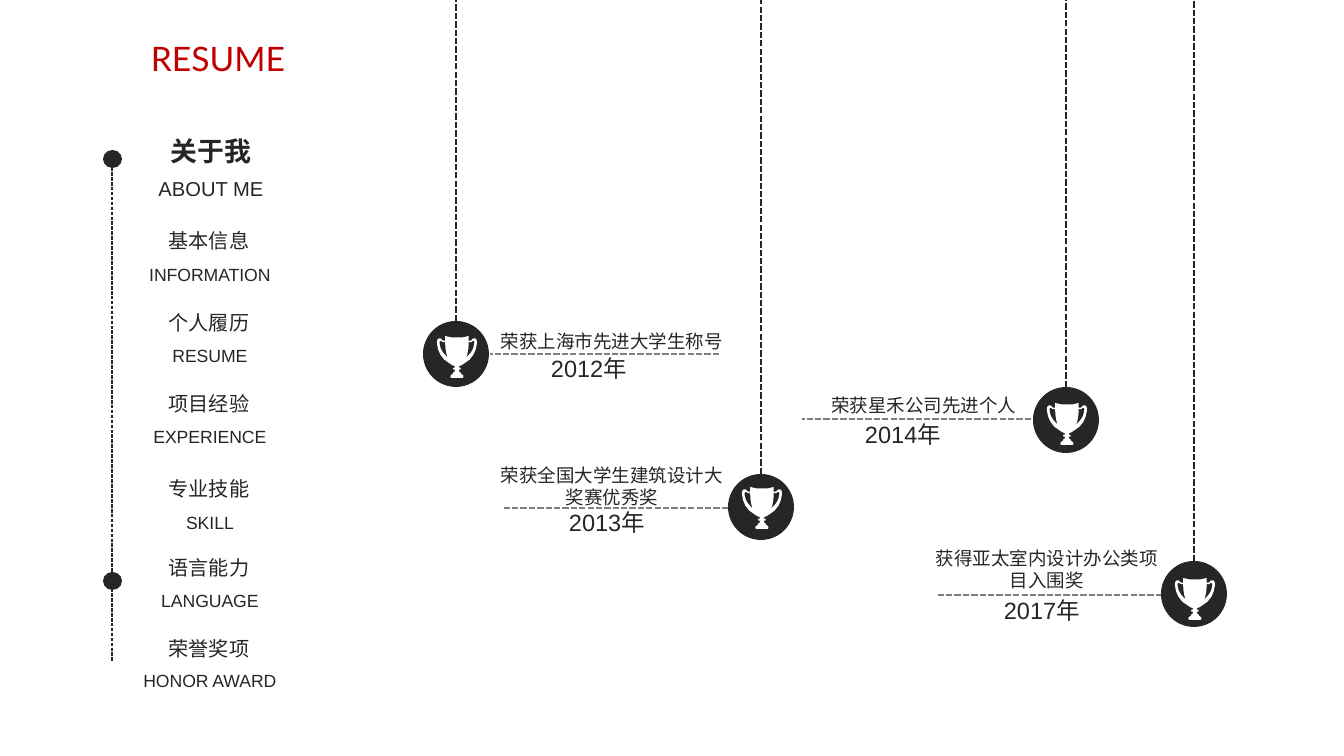
from pptx import Presentation
from pptx.dml.color import RGBColor
from pptx.enum.dml import MSO_LINE
from pptx.enum.shapes import MSO_CONNECTOR, MSO_SHAPE
from pptx.enum.text import MSO_ANCHOR, PP_ALIGN
from pptx.oxml.ns import qn
from pptx.util import Pt
from lxml.etree import SubElement

PX = 7557  # EMU in one px
INK = RGBColor(0x26, 0x26, 0x26)
GRAY = RGBColor(0x80, 0x80, 0x80)
RED = RGBColor(0xC0, 0x00, 0x00)
WHITE = RGBColor(0xFF, 0xFF, 0xFF)
LATIN, CJK, TITLE = "Arial", "Noto Sans CJK SC", "Lato"

# Right half of the trophy, in tenths of a px from its top centre
CUP = [(0, 15), (60, 14), (118, 0), (118, 48), (145, 45), (155, 30), (165, 24),
       (182, 24), (196, 38), (200, 60), (199, 80), (188, 135), (165, 188),
       (125, 238), (65, 280), (45, 293), (20, 302), (20, 315), (35, 318),
       (38, 327), (35, 336), (20, 338), (20, 350), (26, 360), (36, 365),
       (40, 378), (55, 387), (65, 400), (65, 412), (55, 420)]
HANDLE = [(118, 62), (145, 62), (158, 48), (170, 50), (174, 62), (172, 85),
          (162, 125), (140, 165), (92, 218), (105, 180), (115, 120)]

MENU = [("基本信息", "INFORMATION", 241), ("个人履历", "RESUME", 323),
        ("项目经验", "EXPERIENCE", 403), ("专业技能", "SKILL", 489),
        ("语言能力", "LANGUAGE", 568), ("荣誉奖项", "HONOR AWARD", 648)]

# title, its centre; year, its centre; rule right, left, y; medal left, top; trophy top
AWARDS = [
    ("荣获上海市先进大学生称号", (612, 341), "2012年", (589, 368),
     (719, 490, 354), (423, 321), 336),
    ("荣获全国大学生建筑设计大奖赛优秀奖", (612, 486), "2013年", (607, 522),
     (728, 503, 508), (728, 474), 487),
    ("荣获星禾公司先进个人", (924, 405), "2014年", (903, 434),
     (1031, 802, 419), (1033, 387), 403),
    ("获得亚太室内设计办公类项目入围奖", (1047, 569), "2017年", (1042, 610),
     (1162, 938, 595), (1161, 561), 578),
]


def mirror(points):
    return [(-x, y) for x, y in reversed(points)]


class Deck:
    def __init__(self, width, height):
        self.prs = Presentation()
        self.prs.slide_width, self.prs.slide_height = width * PX, height * PX
        self.slide = self.prs.slides.add_slide(self.prs.slide_layouts[6])
        self.shapes = self.slide.shapes

    def paint(self, sp, color):
        sp.shadow.inherit = False
        sp.fill.solid()
        sp.fill.fore_color.rgb = color
        sp.line.fill.background()
        return sp

    def text(self, text, center, size, w=246, h=40, color=INK, bold=False,
             font=LATIN, spacing=None):
        """Place centred text around a middle point."""
        cx, cy = center
        box = self.shapes.add_textbox((cx - w // 2) * PX, (cy - h // 2) * PX,
                                      w * PX, h * PX)
        tf = box.text_frame
        tf.word_wrap = True
        tf.vertical_anchor = MSO_ANCHOR.MIDDLE
        p = tf.paragraphs[0]
        p.alignment = PP_ALIGN.CENTER
        if spacing:
            p.line_spacing = Pt(spacing)
        r = p.add_run()
        r.text = text
        f = r.font
        f.name, f.size, f.bold, f.color.rgb = font, Pt(size), bold, color
        SubElement(f._element, qn("a:ea")).set("typeface", CJK)

    def dot(self, x, y, w, h):
        sp = self.shapes.add_shape(MSO_SHAPE.OVAL, x * PX, y * PX, w * PX, h * PX)
        return self.paint(sp, INK)

    def dashes(self, x1, y1, x2, y2, color=INK, width=1.25, start=None):
        """Draw a dashed line, joined to the top of start if given."""
        ln = self.shapes.add_connector(MSO_CONNECTOR.STRAIGHT, x1 * PX, y1 * PX,
                                       x2 * PX, y2 * PX)
        ln.line.color.rgb = color
        ln.line.width = Pt(width)
        ln.line.dash_style = MSO_LINE.SQUARE_DOT
        SubElement(ln._element.spPr, qn("a:effectLst"))
        if start is not None:
            ln.begin_connect(start, 0)

    def trophy(self, cx, top):
        outline = CUP + mirror(CUP)
        fb = self.shapes.build_freeform(*outline[0], scale=PX / 10)
        fb.add_line_segments(outline[1:], close=True)
        for hole in (HANDLE, mirror(HANDLE)):
            fb.move_to(*hole[0])
            fb.add_line_segments(hole[1:], close=True)
        self.paint(fb.convert_to_shape(cx * PX, top * PX), WHITE)

    def award(self, title, title_at, year, year_at, rule, medal_at, trophy_top):
        right, left, y = rule
        self.text(title, title_at, 11, w=248, font=CJK, spacing=13)
        self.text(year, year_at, 14)
        self.dashes(right, y, left, y, color=GRAY)
        mx, my = medal_at
        medal = self.dot(mx, my, 66, 66)
        self.dashes(mx + 33, my, mx + 33, 0, start=medal)
        self.trophy(mx + 34, trophy_top)


def main():
    deck = Deck(1344, 756)
    deck.text("RESUME", (218, 58), 20, color=RED, font=TITLE)

    deck.text("关于我", (211, 151), 16, bold=True)
    deck.text("ABOUT ME", (211, 188), 12)
    deck.dashes(112, 167, 112, 661, width=0.75)
    for y in (150, 572):
        deck.dot(103, y, 19, 18)
    for chinese, english, y in MENU:
        deck.text(chinese, (209, y), 12)
        deck.text(english, (210, y + 33), 10.5)

    for award in AWARDS:
        deck.award(*award)
    deck.prs.save("out.pptx")


if __name__ == "__main__":
    main()
